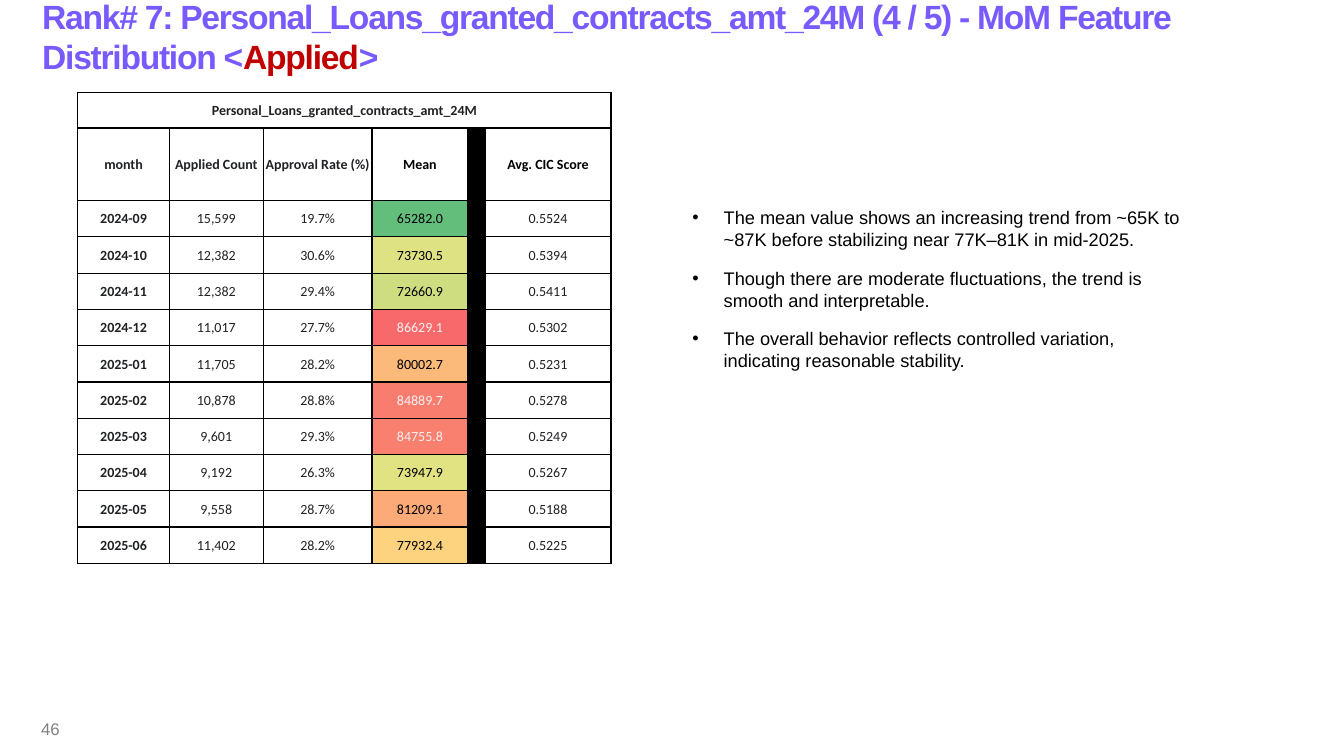
from lxml.etree import SubElement
from pptx import Presentation
from pptx.dml.color import RGBColor
from pptx.enum.text import MSO_ANCHOR, PP_ALIGN
from pptx.oxml.ns import qn
from pptx.util import Inches, Pt

deck = Presentation()
deck.slide_width, deck.slide_height = Inches(13.33), Inches(7.5)
slide = deck.slides.add_slide(deck.slide_layouts[6])


def style(font, size, tint, bold=False, name="Arial"):
    font.name, font.size, font.bold = name, Pt(size), bold
    font.color.rgb = RGBColor.from_string(tint)


def add_box(left, top, width, height, anchor=MSO_ANCHOR.MIDDLE):
    box = slide.shapes.add_textbox(*map(Inches, (left, top, width, height)))
    frame = box.text_frame
    frame.word_wrap, frame.vertical_anchor = True, anchor
    return frame


# Title
title = add_box(0.32, 0, 12.92, 0.72).paragraphs[0]
for text, tint in (
    ("Rank# 7: Personal_Loans_granted_contracts_amt_24M (4 / 5)"
     " - MoM Feature Distribution <", "785AFF"),
    ("Applied", "C00000"),
    (">", "785AFF"),
):
    run = title.add_run()
    run.text = text
    style(run.font, 24, tint, True)
    run._r.get_or_add_rPr().set("spc", "-90")

# Page number
page = add_box(0.31, 7.03, 3, 0.4).paragraphs[0]
page.text = "46"
style(page.font, 12, "808080")

# Monthly table: the fifth column is a black divider
INK, BLACK, WHITE, PALE = "202124", "000000", "FFFFFF", "F1F1F1"
MEAN, GAP = 3, 4
head = ("month", "Applied Count", "Approval Rate (%)", "Mean", "",
        "Avg. CIC Score")
months = (
    ("2024-09", "15,599", "19.7%", "65282.0", "", "0.5524"),
    ("2024-10", "12,382", "30.6%", "73730.5", "", "0.5394"),
    ("2024-11", "12,382", "29.4%", "72660.9", "", "0.5411"),
    ("2024-12", "11,017", "27.7%", "86629.1", "", "0.5302"),
    ("2025-01", "11,705", "28.2%", "80002.7", "", "0.5231"),
    ("2025-02", "10,878", "28.8%", "84889.7", "", "0.5278"),
    ("2025-03", "9,601", "29.3%", "84755.8", "", "0.5249"),
    ("2025-04", "9,192", "26.3%", "73947.9", "", "0.5267"),
    ("2025-05", "9,558", "28.7%", "81209.1", "", "0.5188"),
    ("2025-06", "11,402", "28.2%", "77932.4", "", "0.5225"),
)
heat = ("63BE7B", "DFE282", "CFDD81", "F8696B", "FCBA7A",
        "F97D6F", "F97F6F", "E1E282", "FCAA78", "FED37F")
wides = (0.91, 0.93, 1.08, 0.95, 0.17, 1.25)
highs = (0.35, 0.72) + (0.36,) * len(months)
rows = (("Personal_Loans_granted_contracts_amt_24M",) + ("",) * 5, head) + months

table = slide.shapes.add_table(
    len(rows), len(wides), Inches(0.77), Inches(0.92),
    Inches(sum(wides)), Inches(sum(highs))).table
for col, wide in zip(table.columns, wides):
    col.width = Inches(wide)
for row, high in zip(table.rows, highs):
    row.height = Inches(high)

for r, row in enumerate(rows):
    for c, text in enumerate(row):
        cell = table.cell(r, c)
        cell.margin_left = cell.margin_right = cell.margin_top = Inches(0.01)
        cell.margin_bottom = 0
        cell.vertical_anchor = MSO_ANCHOR.MIDDLE

        # Borders go before the fill
        for side in ("a:lnL", "a:lnR", "a:lnT", "a:lnB"):
            line = SubElement(cell._tc.get_or_add_tcPr(), qn(side), w=str(Pt(1)))
            paint = SubElement(line, qn("a:solidFill"))
            SubElement(paint, qn("a:srgbClr"), val=BLACK)

        # Fill and ink by column
        fill, ink = WHITE, INK
        if r > 0 and c == GAP:
            fill = BLACK
        elif r > 1 and c == MEAN:
            fill = heat[r - 2]
            ink = PALE if float(text) > 84000 else BLACK
        elif r == 1 and c >= MEAN:
            ink = BLACK
        cell.fill.solid()
        cell.fill.fore_color.rgb = RGBColor.from_string(fill)

        para = cell.text_frame.paragraphs[0]
        para.text = text
        para.alignment = PP_ALIGN.CENTER
        style(para.font, 10, ink, r < 2 or c == 0, "Calibri")
table.cell(0, 0).merge(table.cell(0, len(wides) - 1))

# Findings
notes = add_box(6.77, 2, 5.17, 1.75, MSO_ANCHOR.TOP)
for i, text in enumerate((
    "The mean value shows an increasing trend from ~65K to ~87K"
    " before stabilizing near 77K–81K in mid-2025.",
    "Though there are moderate fluctuations, the trend is smooth"
    " and interpretable.",
    "The overall behavior reflects controlled variation,"
    " indicating reasonable stability.",
)):
    para = notes.add_paragraph() if i else notes.paragraphs[0]
    para.text = text
    para.space_after = Pt(12)
    props = para._p.get_or_add_pPr()
    props.set("marL", str(Inches(0.31)))
    props.set("indent", str(-Inches(0.31)))
    SubElement(props, qn("a:buFont"), typeface="Arial")
    SubElement(props, qn("a:buChar"), char="•")
    style(para.font, 13, BLACK)

deck.save("out.pptx")
